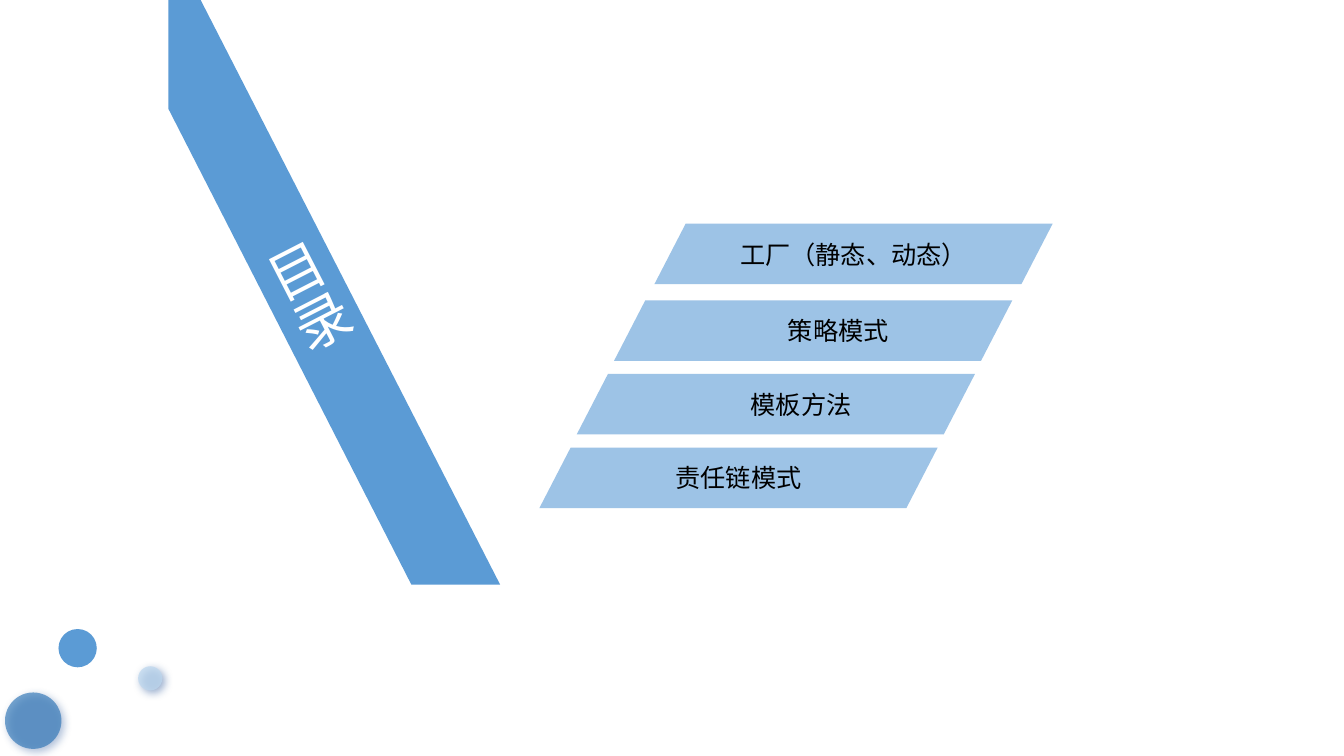
from dataclasses import dataclass

import pptx
import pptx.dml.color
import pptx.enum.shapes
import pptx.enum.text
import pptx.oxml
import pptx.oxml.ns
import pptx.util

Inches = pptx.util.Inches
ALIGN_CENTER = pptx.enum.text.PP_ALIGN.CENTER
ANCHOR_MIDDLE = pptx.enum.text.MSO_ANCHOR.MIDDLE
BAND_BLUE, ENTRY_BLUE, SHADOW_BLUE = "5B9BD5", "9DC3E6", "2B579A"
ENTRY_WIDTH, ENTRY_HEIGHT, ENTRY_SLANT = 3.95, 0.6, 0.31


@dataclass
class Bubble:
    left: float
    top: float
    size: float
    color: str
    opacity: int = 100
    shadow_opacity: int = 0


@dataclass
class Entry:
    text: str
    left: float
    top: float
    level: int = 0
    indent: float = 0


BUBBLES = [
    Bubble(0.58, 6.24, 0.38, BAND_BLUE),
    Bubble(0.05, 6.87, 0.56, "2E75B6", 65, 55),
    Bubble(1.37, 6.61, 0.24, "BDD7EE", 75, 61),
]
ENTRIES = [
    Entry("责任链模式", 5.35, 4.44),
    Entry("模板方法", 5.72, 3.71, 1, 0.5),
    Entry("策略模式", 6.09, 2.98, 1, 0.5),
    Entry("工厂（静态、动态）", 6.49, 2.22, 1),
]
BAND_OUTLINE = [(1.67, 0), (1.99, 0), (4.96, 5.8), (4.08, 5.8), (1.67, 1.08)]


def rgb(color: str) -> pptx.dml.color.RGBColor:
    return pptx.dml.color.RGBColor.from_string(color)


def apply(target, values: dict) -> None:
    for name, value in values.items():
        setattr(target, name, value)


def paint(shape, color: str) -> None:
    shape.shadow.inherit = False
    shape.fill.solid()
    shape.fill.fore_color.rgb = rgb(color)
    shape.line.fill.background()


def draw_outline(slide, points: list, color: str):
    corners = [(Inches(x), Inches(y)) for x, y in points]
    builder = slide.shapes.build_freeform(*corners[0])
    builder.add_line_segments(corners[1:], close=True)
    outline = builder.convert_to_shape()
    paint(outline, color)
    return outline


def write(shape, text: str, size: int, color: str, insets: tuple):
    frame = shape.text_frame
    sides = ("margin_left", "margin_top", "margin_right", "margin_bottom")
    apply(frame, {side: Inches(inset) for side, inset in zip(sides, insets)})
    apply(frame, {"word_wrap": True, "vertical_anchor": ANCHOR_MIDDLE,
                  "auto_size": pptx.enum.text.MSO_AUTO_SIZE.NONE})
    paragraph = frame.paragraphs[0]
    paragraph.alignment = ALIGN_CENTER
    run = paragraph.add_run()
    run.text = text
    apply(run.font, {"name": "Arial", "size": pptx.util.Pt(size), "bold": False})
    run.font.color.rgb = rgb(color)
    return paragraph


def draw_bubble(slide, bubble: Bubble) -> None:
    circle = slide.shapes.add_shape(
        pptx.enum.shapes.MSO_SHAPE.OVAL, Inches(bubble.left), Inches(bubble.top),
        Inches(bubble.size), Inches(bubble.size))
    paint(circle, bubble.color)
    properties = circle.fill._xPr
    if bubble.opacity < 100:
        fill_color = properties.find(".//" + pptx.oxml.ns.qn("a:srgbClr"))
        fill_color.append(pptx.oxml.parse_xml(
            f'<a:alpha {pptx.oxml.ns.nsdecls("a")} val="{bubble.opacity * 1000}"/>'))
    if bubble.shadow_opacity:
        effects = properties.find(pptx.oxml.ns.qn("a:effectLst"))
        effects.append(pptx.oxml.parse_xml(
            f'<a:outerShdw {pptx.oxml.ns.nsdecls("a")} blurRad="{pptx.util.Pt(6)}" '
            f'dist="{pptx.util.Pt(3)}" dir="2700000" rotWithShape="0">'
            f'<a:srgbClr val="{SHADOW_BLUE}"><a:alpha val="{bubble.shadow_opacity * 1000}"/>'
            '</a:srgbClr></a:outerShdw>'))


def draw_entry(slide, entry: Entry) -> None:
    right, bottom = entry.left + ENTRY_WIDTH, entry.top + ENTRY_HEIGHT
    bar = draw_outline(slide, [
        (entry.left + ENTRY_SLANT, entry.top), (right, entry.top),
        (right - ENTRY_SLANT, bottom), (entry.left, bottom)], ENTRY_BLUE)
    paragraph = write(bar, entry.text, 18, "000000", (0.24, 0.05, 0.24, 0.05))
    paragraph.level = entry.level
    indents = paragraph._p.get_or_add_pPr()
    indents.set("marL", str(Inches(entry.indent)))
    indents.set("indent", "0")


def draw_heading(slide) -> None:
    draw_outline(slide, BAND_OUTLINE, BAND_BLUE)
    # The box fits the two characters closely, halfway down the band
    heading = slide.shapes.title
    apply(heading, {"left": Inches(2.7), "top": Inches(2.26), "width": Inches(0.78),
                    "height": Inches(1.51), "rotation": 332.9})
    write(heading, "目录", 40, "FFFFFF", (0.1, 0.12, 0.1, 0.2))
    heading.text_frame._txBody.bodyPr.set("vert", "eaVert")
    # Bring the heading in front of its band
    slide.shapes._spTree.append(heading._element)


def main() -> None:
    deck = pptx.Presentation()
    apply(deck, {"slide_width": Inches(13.33), "slide_height": Inches(7.5)})
    slide = deck.slides.add_slide(deck.slide_layouts[5])

    # Corner bubbles
    for bubble in BUBBLES:
        draw_bubble(slide, bubble)

    # Slanted band with the heading
    draw_heading(slide)

    # Contents entries
    for entry in ENTRIES:
        draw_entry(slide, entry)

    deck.save("out.pptx")


if __name__ == "__main__":
    main()
